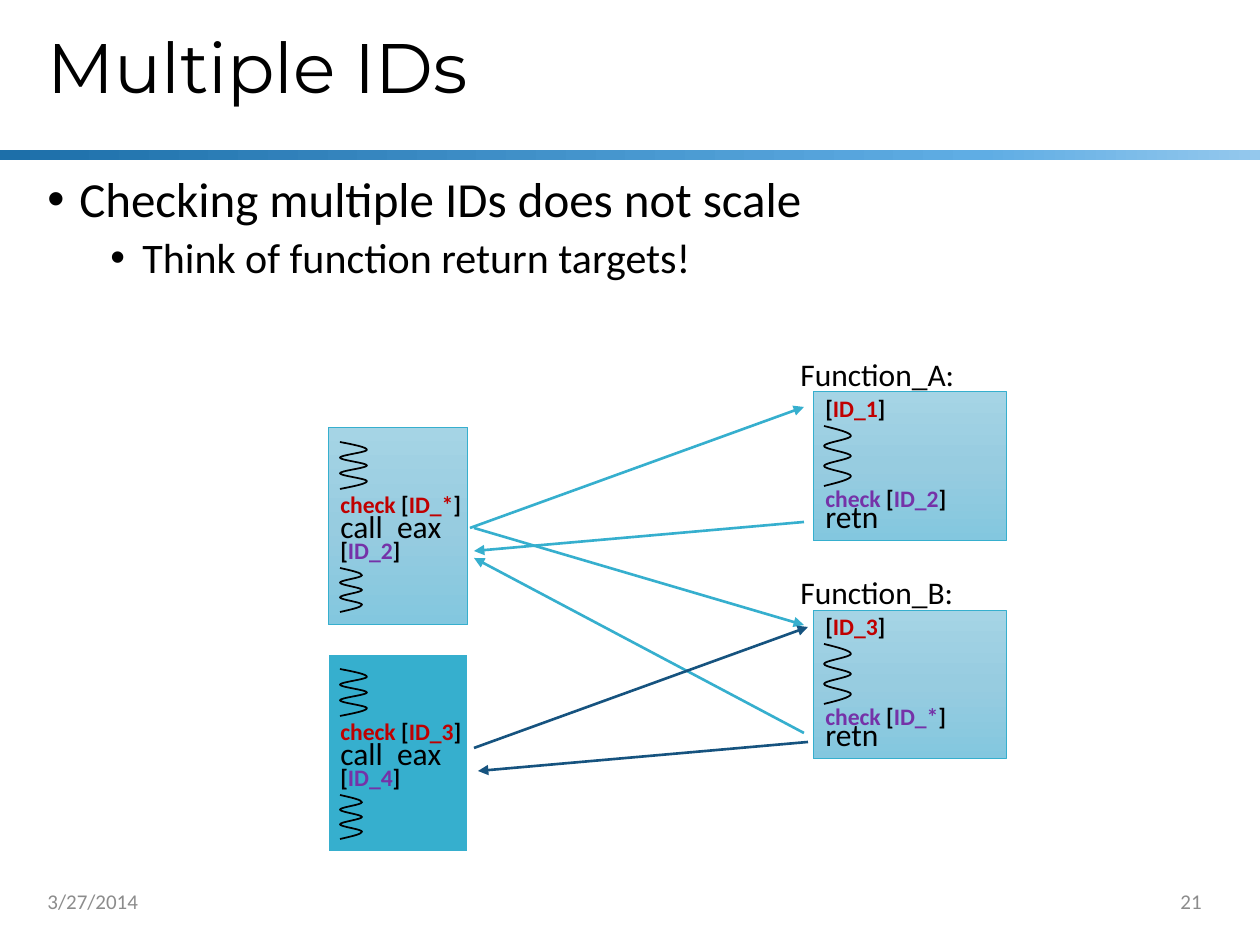
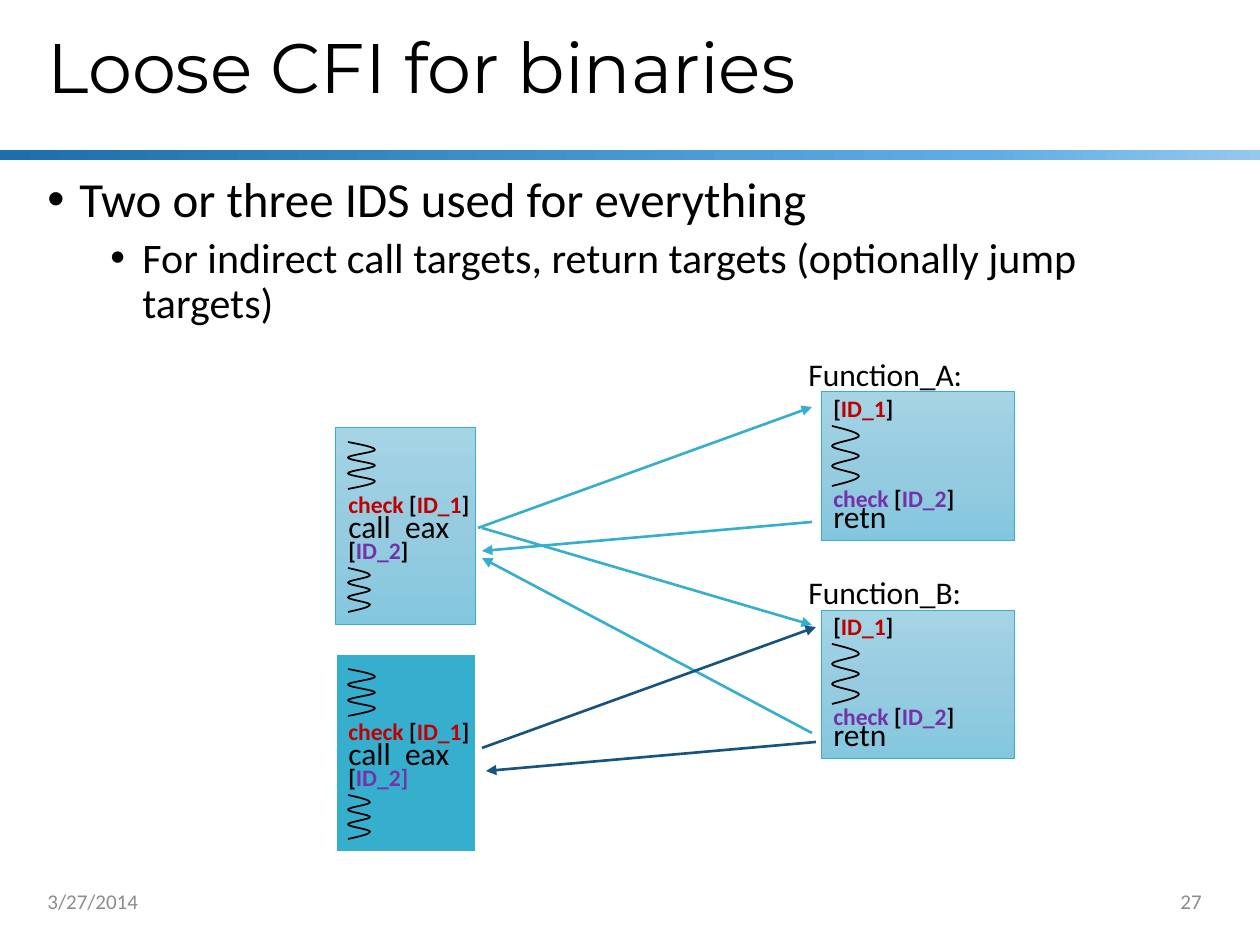
from lxml.etree import SubElement
from pptx import Presentation
from pptx.dml.color import RGBColor
from pptx.enum.shapes import MSO_CONNECTOR as CONN, MSO_SHAPE as SHAPE
from pptx.enum.text import MSO_ANCHOR as ANCHOR, MSO_AUTO_SIZE as AUTO, PP_ALIGN as ALIGN
from pptx.oxml.ns import qn
from pptx.util import Pt

PX = 914400 / 126
C = {"black": "000000", "gray": "8C8C8C", "white": "FFFFFF", "red": "C00000",
     "purple": "7532A8", "teal": "36AFCE", "navy": "16537F"}
BAND = [(0, "1D6FA9"), (78, "5FADE4"), (100, "94C8ED")]
PALE = [(0, "A5D4E5"), (50, "97CCE0"), (100, "83C7DF")]
WAVE = [0, 0.5, 1, 1, 1, 0, 0, 0, 1, 1, 1, 0, 0, 0, 1, 1, 1, 0.5, 0]

SLIDES = [
    {"title": "Multiple IDs", "number": "21", "shift": 0,
     "bullets": ["Checking multiple IDs does not scale",
                 "Think of function return targets!"],
     "callers": [("ID_*", "ID_2", "black"), ("ID_3", "ID_4", "black")],
     "functions": [("Function_A:", "ID_1", "ID_2"), ("Function_B:", "ID_3", "ID_*")]},
    {"title": "Loose CFI for binaries", "number": "27", "shift": 8,
     "bullets": ["Two or three IDS used for everything",
                 "For indirect call targets, return targets (optionally jump targets)"],
     "callers": [("ID_1", "ID_2", "black"), ("ID_1", "ID_2", "purple")],
     "functions": [("Function_A:", "ID_1", "ID_2"), ("Function_B:", "ID_1", "ID_2")]},
]
ARROWS = [
    (470, 528, 804, 407, "teal"), (804, 522, 474, 551, "teal"),
    (474, 528, 804, 625, "teal"), (804, 733, 474, 558, "teal"),
    (474, 748, 808, 627, "navy"), (808, 742, 478, 771, "navy"),
]


def write(p, text, size=18, color="black", font="Calibri", bold=False, align=ALIGN.LEFT):
    p.alignment = align
    for part, shade in [(text, color)] if isinstance(text, str) else text:
        r = p.add_run()
        r.text = part
        r.font.size, r.font.name, r.font.bold = Pt(size), font, bold
        r.font.color.rgb = RGBColor.from_string(C[shade])


def shade(sp, stops, angle):
    sp.fill.gradient()
    sp.fill.gradient_angle = angle
    gs_list = sp._element.find(".//" + qn("a:gsLst"))
    gs_list.clear()
    for pos, color in stops:
        gs = SubElement(gs_list, qn("a:gs"), pos=str(pos * 1000))
        SubElement(gs, qn("a:srgbClr"), val=color)


prs = Presentation()
prs.slide_width, prs.slide_height = round(1260 * PX), round(945 * PX)

for data in SLIDES:
    s = prs.slides.add_slide(prs.slide_layouts[5])
    dx = data["shift"]

    band = s.shapes.add_shape(SHAPE.RECTANGLE, 0, *[round(v * PX) for v in (150, 1260, 10)])
    band.shadow.inherit = False
    band.line.fill.background()
    shade(band, BAND, 0)

    title = s.shapes.title
    title.left, title.top, title.width, title.height = [round(v * PX) for v in (35, 0, 1178, 142)]
    tf = title.text_frame
    tf.auto_size, tf.vertical_anchor = AUTO.NONE, ANCHOR.MIDDLE
    tf.paragraphs[0].line_spacing = 0.9
    write(tf.paragraphs[0], data["title"], size=40, font="Montserrat")

    body = s.shapes.add_textbox(*[round(v * PX) for v in (35, 169, 1178, 683)])
    tf = body.text_frame
    tf.word_wrap = True
    for level, text in enumerate(data["bullets"]):
        p = tf.add_paragraph() if level else tf.paragraphs[0]
        p.level, p.line_spacing = level, 0.9
        p.space_before = Pt(5 if level else 10)
        write(p, text, size=24 if level else 28)
        pPr = p._p.get_or_add_pPr()
        pPr.set("marL", str(round((95 if level else 32) * PX)))
        pPr.set("indent", str(round(-32 * PX)))
        SubElement(pPr, qn("a:buFont"), typeface="Arial")
        SubElement(pPr, qn("a:buChar"), char="•")

    for x, text, align in [(35, "3/27/2014", ALIGN.LEFT), (930, data["number"], ALIGN.RIGHT)]:
        footer = s.shapes.add_textbox(*[round(v * PX) for v in (x, 876, 284, 50)])
        tf = footer.text_frame
        tf.word_wrap, tf.vertical_anchor = True, ANCHOR.MIDDLE
        write(tf.paragraphs[0], text, size=12, color="gray", align=align)

    boxes, waves, labels = [], [], []
    x = 328 + dx
    for i, (target, own, bracket) in enumerate(data["callers"]):
        y = 427 + 227 * i
        boxes.append((x, y, 140, 198, "call  eax", ANCHOR.MIDDLE, i == 1))
        waves += [(x + 12, y + 15, 27, 47), (x + 12, y + 141, 22, 44)]
        labels += [
            (x, y + 103, 87, 42, [("[", "black"), (own, "purple"), ("]", bracket)], 13.5),
            (x, y + 57, 147, 42, [("check ", "red"), ("[", "black"), (target, "red"),
                                  ("]", "black")], 13.5)]
    x = 813 + dx
    for i, (name, entry, target) in enumerate(data["functions"]):
        y = 392 + 218 * i
        boxes.append((x, y, 193, 149, "retn", ANCHOR.BOTTOM, False))
        waves.append((x + 11, y + 34, 27, 60))
        labels += [
            (x - 25, y - 43, 181, 50, name, 18),
            (x, y - 4, 87, 42, [("[", "black"), (entry, "red"), ("]", "black")], 13.5),
            (x, y + 86, 147, 42, [("check ", "purple"), ("[", "black"), (target, "purple"),
                                  ("]", "black")], 13.5)]

    for x, y, w, h, text, anchor, solid in boxes:
        sp = s.shapes.add_shape(SHAPE.RECTANGLE, *[round(v * PX) for v in (x, y, w, h)])
        sp.shadow.inherit = False
        if solid:
            sp.fill.solid()
            sp.fill.fore_color.rgb = RGBColor.from_string(C["teal"])
        else:
            shade(sp, PALE, 270)
        sp.line.color.rgb = RGBColor.from_string(C["white" if solid else "teal"])
        sp.line.width = Pt(1.5 if solid else 0.5)
        sp.text_frame.vertical_anchor = anchor
        write(sp.text_frame.paragraphs[0], text)

    for x, y, w, h in waves:
        points = [((x + w * k) * PX, (y + h * n / 18) * PX) for n, k in enumerate(WAVE)]
        fb = s.shapes.build_freeform(*points[0])
        fb.add_line_segments(points[1:], close=False)
        sp = fb.convert_to_shape()
        sp.shadow.inherit = False
        sp.fill.background()
        sp.line.color.rgb = RGBColor.from_string(C["black"])
        sp.line.width = Pt(1)
        segments = list(sp._element.iter(qn("a:lnTo")))
        for n in range(0, 18, 3):
            curve = SubElement(segments[n].getparent(), qn("a:cubicBezTo"))
            for seg in segments[n:n + 3]:
                curve.append(seg[0])
                seg.getparent().remove(seg)

    for x, y, w, h, text, size in labels:
        label = s.shapes.add_textbox(*[round(v * PX) for v in (x, y, w, h)])
        label.text_frame.word_wrap = False
        label.text_frame.auto_size = AUTO.SHAPE_TO_FIT_TEXT
        write(label.text_frame.paragraphs[0], text, size=size, bold=size < 18)

    for x1, y1, x2, y2, color in ARROWS:
        ends = [round(v * PX) for v in (x1 + dx, y1, x2 + dx, y2)]
        arrow = s.shapes.add_connector(CONN.STRAIGHT, *ends)
        arrow.line.color.rgb = RGBColor.from_string(C[color])
        arrow.line.width = Pt(1.5)
        SubElement(arrow.line._get_or_add_ln(), qn("a:tailEnd"), type="triangle")
        SubElement(arrow._element.spPr, qn("a:effectLst"))

prs.save("out.pptx")
